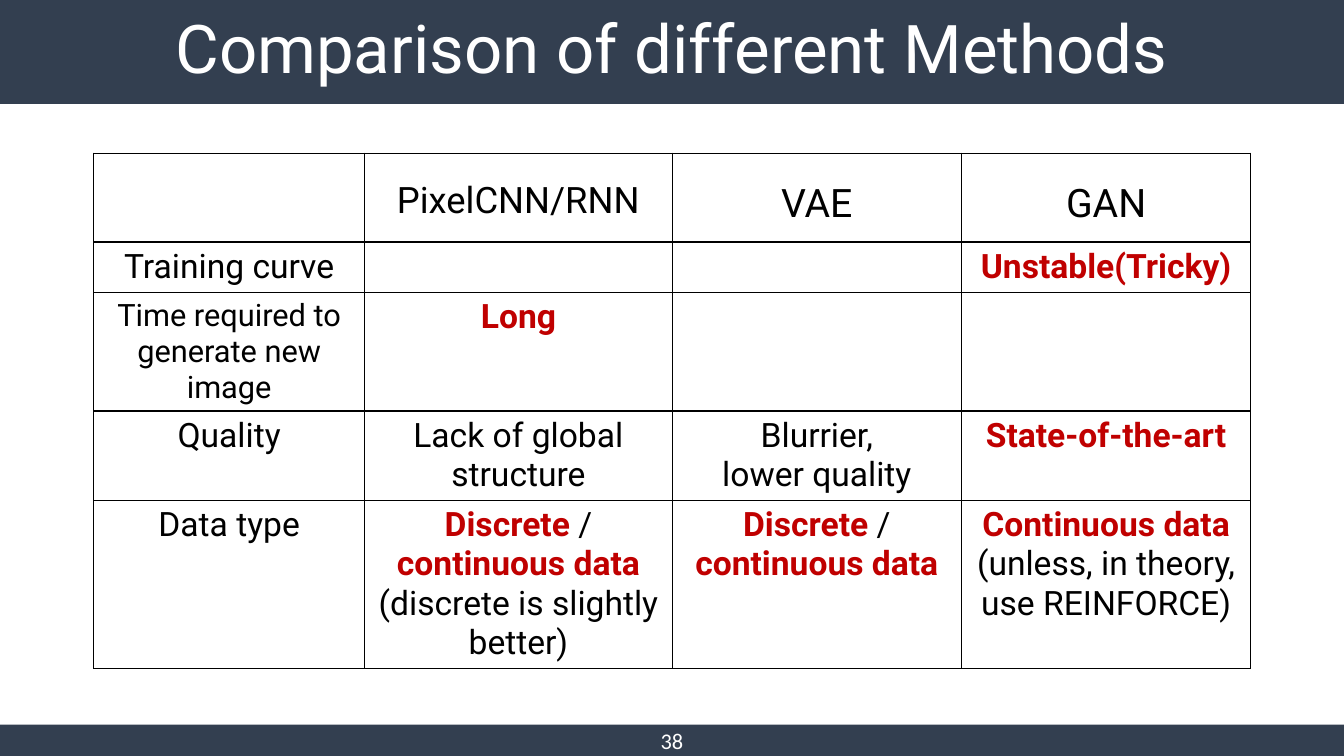
from lxml import etree
from pptx import Presentation
from pptx.dml.color import RGBColor
from pptx.enum.shapes import MSO_SHAPE
from pptx.enum.text import MSO_ANCHOR, PP_ALIGN
from pptx.oxml import parse_xml
from pptx.util import Cm, Pt

# Content: *asterisks* mark the highlighted words, each line is a paragraph
TITLE = "Comparison of different Methods"
PAGE_NUMBER = "38"
ROWS = [
    ["", "PixelCNN/RNN", "VAE", "GAN"],
    ["Training curve", "", "", "*Unstable(Tricky)*"],
    ["Time required to generate new image", "*Long*", "", ""],
    ["Quality", "Lack of global structure", "Blurrier,\nlower quality", "*State-of-the-art*"],
    ["Data type",
     "*Discrete* / *continuous data*\n(discrete is slightly better)",
     "*Discrete* / *continuous data*",
     "*Continuous data*\n(unless, in theory, use REINFORCE)"],
]
BODY_SIZE = 24
HEADER_SIZE = 28
SPECIAL_SIZES = {(0, 1): 26, (2, 0): 22}

# Layout in centimetres
SLIDE_WIDTH, SLIDE_HEIGHT = 33.87, 19.05
TITLE_HEIGHT, FOOTER_HEIGHT = 2.62, 0.79
TABLE_LEFT, TABLE_TOP = 2.36, 3.86
COLUMN_WIDTHS = [6.83, 7.75, 7.29, 7.29]
ROW_HEIGHTS = [2.24, 1.27, 2.98, 2.24, 4.24]

# Style
NAVY = RGBColor(0x33, 0x3F, 0x50)
WHITE = RGBColor(0xFF, 0xFF, 0xFF)
BLACK = RGBColor(0x00, 0x00, 0x00)
RED = RGBColor(0xC0, 0x00, 0x00)
CENTER = PP_ALIGN.CENTER
MIDDLE = MSO_ANCHOR.MIDDLE
RECTANGLE = MSO_SHAPE.RECTANGLE
DRAWING = "http://schemas.openxmlformats.org/drawingml/2006/main"


def style_font(font, name, size, color, bold=False):
    font.name = name
    font.size = Pt(size)
    font.color.rgb = color
    font.bold = bold


def add_band(slide, top, height, text, font_name, size, line_spacing):
    band = slide.shapes.add_shape(RECTANGLE, 0, Cm(top), Cm(SLIDE_WIDTH), Cm(height))
    band.shadow.inherit = False
    band.fill.solid()
    band.fill.fore_color.rgb = NAVY
    band.line.fill.background()
    band.text_frame.text = text
    band.text_frame.vertical_anchor = MIDDLE
    paragraph = band.text_frame.paragraphs[0]
    paragraph.alignment = CENTER
    paragraph.line_spacing = line_spacing
    style_font(paragraph.runs[0].font, font_name, size, WHITE)


def add_borders(cell):
    properties = cell._tc.get_or_add_tcPr()
    for side in ("lnL", "lnR", "lnT", "lnB"):
        border = parse_xml(f'<a:{side} xmlns:a="{DRAWING}" w="{Pt(1)}"/>')
        fill = etree.SubElement(border, f"{{{DRAWING}}}solidFill")
        etree.SubElement(fill, f"{{{DRAWING}}}srgbClr", val=str(BLACK))
        properties.append(border)


def fill_cell(cell, text, size, line_spacing):
    add_borders(cell)
    cell.fill.background()
    if not text:
        return
    cell.text_frame.text = text.replace("*", "")
    for paragraph, line in zip(cell.text_frame.paragraphs, text.split("\n")):
        paragraph.text = ""
        paragraph.alignment = CENTER
        paragraph.line_spacing = line_spacing
        for index, part in enumerate(line.split("*")):
            if part:
                run = paragraph.add_run()
                run.text = part
                highlighted = index % 2 == 1
                style_font(run.font, "Roboto", size, RED if highlighted else BLACK, highlighted)


def add_comparison_table(slide):
    table = slide.shapes.add_table(
        len(ROWS), len(COLUMN_WIDTHS), Cm(TABLE_LEFT), Cm(TABLE_TOP),
        Cm(sum(COLUMN_WIDTHS)), Cm(sum(ROW_HEIGHTS))).table
    table.first_row = False
    table.horz_banding = False
    for column, width in zip(table.columns, COLUMN_WIDTHS):
        column.width = Cm(width)
    for row, height in zip(table.rows, ROW_HEIGHTS):
        row.height = Cm(height)
    for r, texts in enumerate(ROWS):
        default_size = BODY_SIZE if r else HEADER_SIZE
        for c, text in enumerate(texts):
            size = SPECIAL_SIZES.get((r, c), default_size)
            fill_cell(table.cell(r, c), text, size, 1.0 if r else 1.5)


def main():
    presentation = Presentation()
    presentation.slide_width = Cm(SLIDE_WIDTH)
    presentation.slide_height = Cm(SLIDE_HEIGHT)
    slide = presentation.slides.add_slide(presentation.slide_layouts[6])

    add_band(slide, 0, TITLE_HEIGHT, TITLE, "Roboto", 48, 0.9)
    add_band(slide, SLIDE_HEIGHT - FOOTER_HEIGHT, FOOTER_HEIGHT, PAGE_NUMBER, "Calibri", 16, 1.0)
    add_comparison_table(slide)

    presentation.save("out.pptx")


if __name__ == "__main__":
    main()
